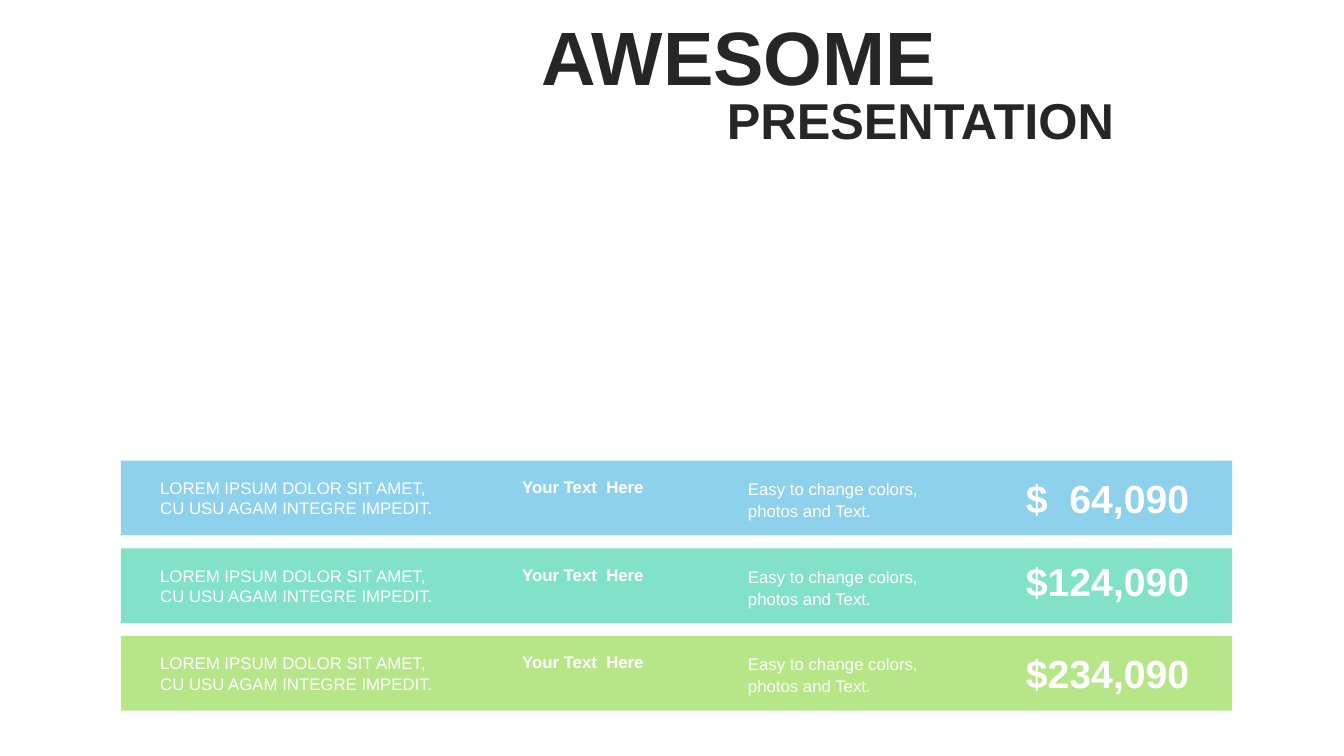
from lxml import etree
from pptx import Presentation
from pptx.dml.color import RGBColor
from pptx.enum.shapes import MSO_SHAPE as Shape
from pptx.enum.text import MSO_ANCHOR as Anchor, MSO_AUTO_SIZE as AutoSize, PP_ALIGN as Align
from pptx.oxml.ns import qn
from pptx.util import Inches, Pt

WHITE, DARK = "FFFFFF", "262626"
TITLES = [
    # text, left, top, height, size
    ("AWESOME", 5.27, 0.04, 1.01, 54),
    ("PRESENTATION", 7.11, 0.83, 0.71, 36),
]
ROWS = [
    # bar colour, price, price top
    ("5EBEE4", "$  64,090", 4.66),
    ("4CD6B0", "$124,090", 5.48),
    ("98DC56", "$234,090", 6.39),
]
SUMMARY = ["LOREM IPSUM DOLOR SIT AMET,", "CU USU AGAM INTEGRE IMPEDIT."]
HEADING = ["Your Text  Here"]
DETAIL = ["Easy to change colors, photos and Text."]

BAR_LEFT, BAR_TOP, BAR_WIDTH, BAR_HEIGHT = 1.2, 4.57, 11.02, 0.74
ROW_STEP = 0.87
BAR_OPACITY = 70


def rgb(value):
    return RGBColor.from_string(value)


def add_text(slide, lines, left, top, width, height, size=12, color=WHITE, bold=False,
             align=Align.LEFT, anchor=Anchor.TOP, spacing=None):
    box = slide.shapes.add_textbox(Inches(left), Inches(top), Inches(width), Inches(height))
    frame = box.text_frame
    frame.word_wrap = True
    frame.auto_size = AutoSize.SHAPE_TO_FIT_TEXT
    frame.vertical_anchor = anchor
    for index, line in enumerate(lines):
        paragraph = frame.add_paragraph() if index else frame.paragraphs[0]
        paragraph.alignment = align
        paragraph.line_spacing = spacing
        run = paragraph.add_run()
        run.text = line
        run.font.name = "Arial"
        run.font.size = Pt(size)
        run.font.bold = bold
        run.font.color.rgb = rgb(color)


def add_bar(slide, top, color):
    bar = slide.shapes.add_shape(Shape.RECTANGLE, Inches(BAR_LEFT), Inches(top),
                                 Inches(BAR_WIDTH), Inches(BAR_HEIGHT))
    bar.shadow.inherit = False
    bar.fill.solid()
    bar.fill.fore_color.rgb = rgb(color)
    bar.line.fill.background()
    fill_color = bar.fill._xPr.find(qn("a:solidFill"))[0]
    etree.SubElement(fill_color, qn("a:alpha")).set("val", str(BAR_OPACITY * 1000))


def main():
    presentation = Presentation()
    presentation.slide_width = Inches(13.33)
    presentation.slide_height = Inches(7.5)
    slide = presentation.slides.add_slide(presentation.slide_layouts[6])

    for text, left, top, height, size in TITLES:
        add_text(slide, [text], left, top, 4.95, height, size, DARK, bold=True,
                 align=Align.JUSTIFY, anchor=Anchor.MIDDLE)

    for index, (color, price, price_top) in enumerate(ROWS):
        top = BAR_TOP + index * ROW_STEP
        add_bar(slide, top, color)
        add_text(slide, SUMMARY, 1.49, top + 0.12, 3.21, 0.5, anchor=Anchor.MIDDLE)
        add_text(slide, HEADING, 5.08, top + 0.11, 1.85, 0.3, bold=True)
        add_text(slide, DETAIL, 7.32, top + 0.11, 2.31, 0.53, spacing=1.1)
        add_text(slide, [price], 10.02, price_top, 1.93, 0.57, 28, bold=True,
                 align=Align.CENTER)

    presentation.save("out.pptx")


if __name__ == "__main__":
    main()
